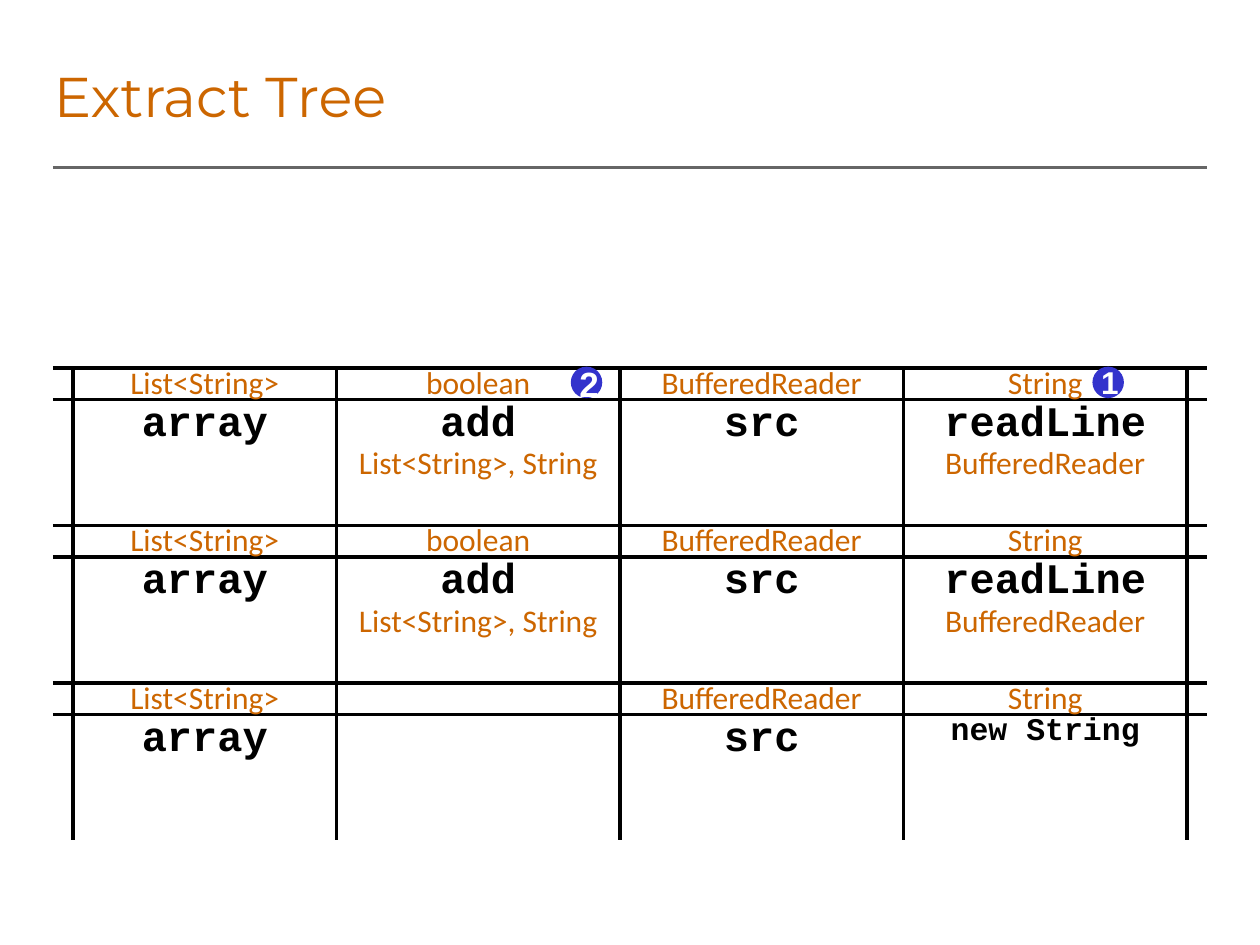
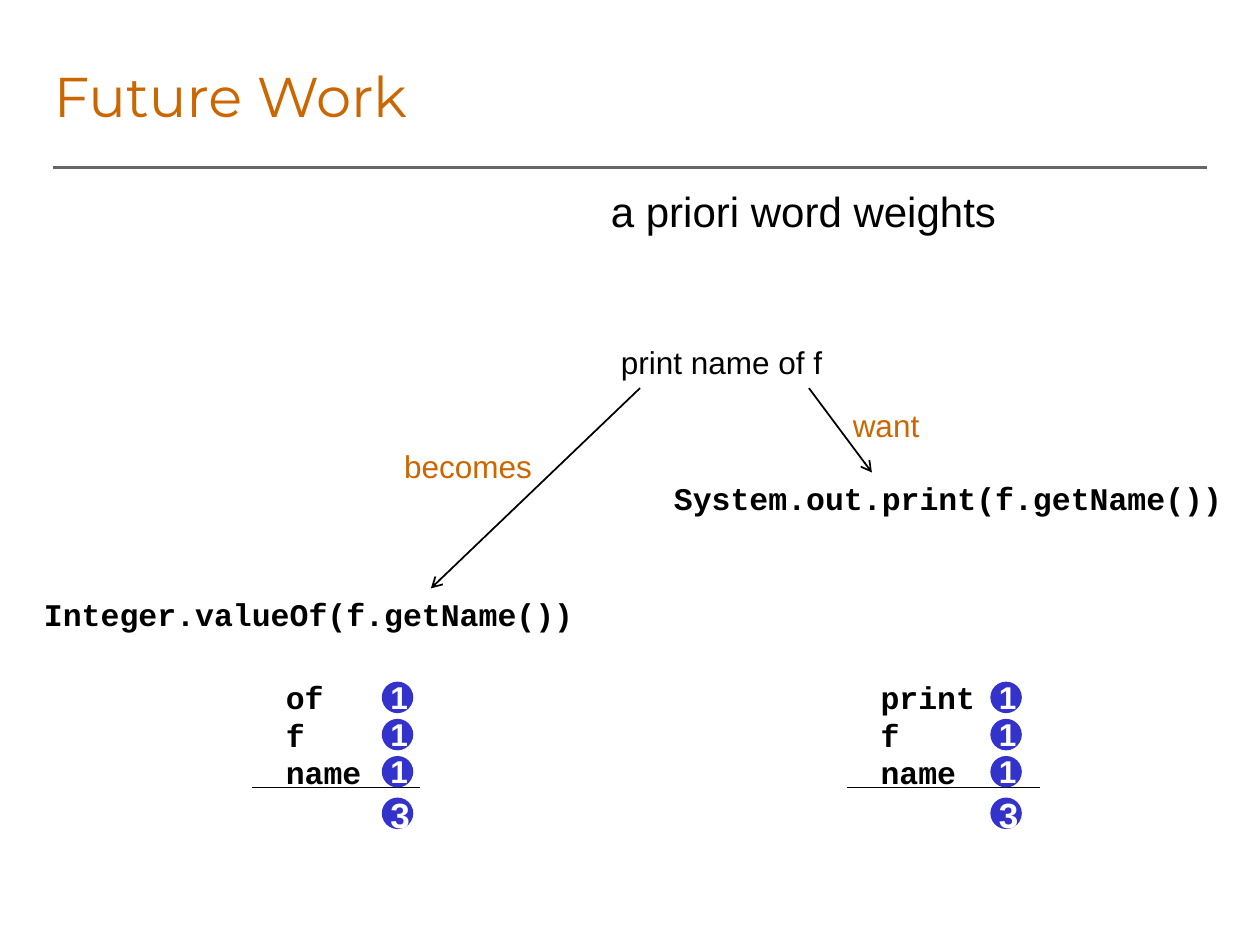
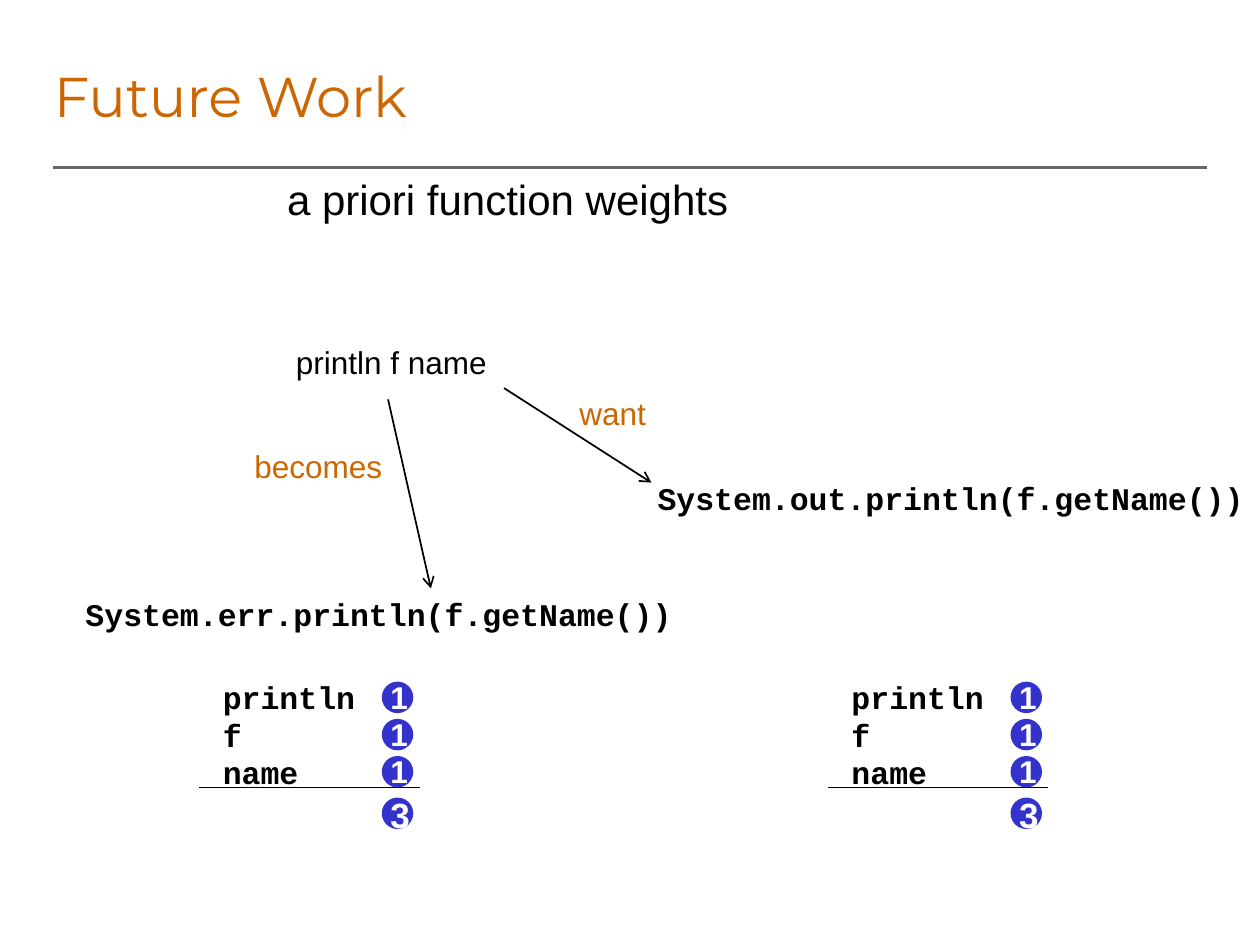
from lxml import etree
from pptx import Presentation
from pptx.dml.color import RGBColor
from pptx.enum import shapes, text
from pptx.oxml.ns import qn
from pptx.util import Inches, Pt

# Shared style
ORANGE, BLACK, WHITE = "CC6600", "000000", "FFFFFF"
GRAY, BLUE = "666666", "3333CC"
CODE = dict(font="Courier New", bold=True)
TYPE = dict(font="Calibri", color=ORANGE, align=text.PP_ALIGN.CENTER)
NAME = dict(CODE, align=text.PP_ALIGN.CENTER)

# Extract Tree: each cell is (return type, name, argument types, name size)
ARRAY = ("List<String>", "array", "", 24)
ADD = ("boolean", "add", "List<String>, String", 24)
SOURCE = ("BufferedReader", "src", "", 24)
READ_LINE = ("String", "readLine", "BufferedReader", 24)
NEW_STRING = ("String", "new String", "", 18)
EMPTY = ("", "", "", 24)
TREE_ROWS = [
    [ARRAY, ADD, SOURCE, READ_LINE],
    [ARRAY, ADD, SOURCE, READ_LINE],
    [ARRAY, EMPTY, SOURCE, NEW_STRING],
]
TREE_BADGES = [(8.64, 2.83, 1), (4.5, 2.83, 2)]
CELL_LEFTS = [0.5, 2.67, 4.92, 7.17]
RULE_XS = [0.58, 2.67, 4.92, 7.17, 9.42]
TREE_TOP, ROW_HEIGHT, HEADER_HEIGHT = 2.92, 1.25, 0.25

# Future Work: labels are (text, left, top, width, height, format),
# tallies are (words, words left, width, badge left, rule start, rule end)
FUTURE_PAGES = [
    dict(
        labels=[
            ("print name of f", 4.83, 2.67, 1.81, 0.4, {}),
            ("Integer.valueOf(f.getName())", 0.25, 4.67, 4.42, 0.4, CODE),
            ("System.out.print(f.getName())", 5.25, 3.75, 4.57, 0.4, CODE),
            ("a priori word weights", 4.75, 1.42, 3.29, 0.5, dict(size=24)),
            ("becomes", 3.11, 3.5, 1.23, 0.4, dict(color=ORANGE)),
            ("want", 6.67, 3.17, 0.73, 0.4, dict(color=ORANGE)),
        ],
        arrows=[(5.08, 3.08, 3.42, 4.67), (6.42, 3.08, 6.92, 3.75)],
        tallies=[
            (["of", "f", "name"], 2.17, 0.87, 3, 3.33, 2),
            (["print", "f", "name"], 6.89, 0.96, 7.83, 8.25, 6.72),
        ],
    ),
    dict(
        labels=[
            ("println f name", 2.25, 2.67, 1.73, 0.4, {}),
            ("System.err.println(f.getName())", 0.58, 4.67, 4.88, 0.4, CODE),
            ("System.out.println(f.getName())", 5.12, 3.75, 4.88, 0.4, CODE),
            ("a priori function weights", 2.18, 1.33, 3.74, 0.5, dict(size=24)),
            ("becomes", 1.92, 3.5, 1.23, 0.4, dict(color=ORANGE)),
            ("want", 4.5, 3.08, 0.73, 0.4, dict(color=ORANGE)),
        ],
        arrows=[(3.08, 3.17, 3.42, 4.67), (4, 3.08, 5.17, 3.83)],
        tallies=[
            (["println", "f", "name"], 1.67, 1.37, 3, 3.33, 1.58),
            (["println", "f", "name"], 6.66, 1.37, 7.99, 8.32, 6.57),
        ],
    ),
]
TALLY_TOP, WEIGHT_STEP, TALLY_RULE = 5.33, 0.295, 6.25


def rgb(color):
    return RGBColor.from_string(color)


def add_text(page, content, left, top, width, height, *, size=18, font="Arial",
             color=BLACK, bold=False, align=text.PP_ALIGN.LEFT, wrap=True,
             anchor=text.MSO_ANCHOR.TOP, fit=text.MSO_AUTO_SIZE.SHAPE_TO_FIT_TEXT):
    box = page.shapes.add_textbox(*map(Inches, (left, top, width, height)))
    frame = box.text_frame
    frame.word_wrap, frame.auto_size, frame.vertical_anchor = wrap, fit, anchor
    frame.text = content
    for para in frame.paragraphs:
        para.alignment = align
        for span in para.runs:
            span.font.name, span.font.size, span.font.bold = font, Pt(size), bold
            span.font.color.rgb = rgb(color)


def add_line(page, x1, y1, x2, y2, *, color=BLACK, width=2, arrow=False):
    line = page.shapes.add_connector(
        shapes.MSO_CONNECTOR.STRAIGHT, *map(Inches, (x1, y1, x2, y2)))
    line.line.color.rgb = rgb(color)
    line.line.width = Pt(width)
    if arrow:
        outline = line.line._get_or_add_ln()
        etree.SubElement(outline, qn("a:tailEnd"), type="arrow")
    etree.SubElement(line._element.spPr, qn("a:effectLst"))


def add_badge(page, left, top, number):
    circle = page.shapes.add_shape(
        shapes.MSO_SHAPE.OVAL, Inches(left + 0.03), Inches(top + 0.08),
        Inches(0.25), Inches(0.25))
    circle.shadow.inherit = False
    circle.fill.solid()
    circle.fill.fore_color.rgb = rgb(BLUE)
    circle.line.fill.background()
    width, height, size = (0.27, 0.4, 18) if number == 1 else (0.34, 0.44, 20)
    add_text(page, str(number), left, top, width, height,
             size=size, color=WHITE, bold=True, wrap=False)


def add_page(deck, title):
    page = deck.slides.add_slide(deck.slide_layouts[6])
    add_line(page, 0.42, 1.33, 9.58, 1.33, color=GRAY)
    add_text(page, title, 0.33, 0.42, 8.08, 0.67, size=32, font="Montserrat",
             color=ORANGE, anchor=text.MSO_ANCHOR.MIDDLE,
             fit=text.MSO_AUTO_SIZE.NONE)
    return page


def add_tree_page(deck):
    page = add_page(deck, "Extract Tree")
    for row, cells in enumerate(TREE_ROWS):
        top = TREE_TOP + row * ROW_HEIGHT
        # Row grid
        for x in RULE_XS:
            add_line(page, x, top, x, top + ROW_HEIGHT)
        for y in (top, top + HEADER_HEIGHT):
            add_line(page, 0.42, y, 9.58, y)
        # Cell texts
        for left, (result, name, arguments, size) in zip(CELL_LEFTS, cells):
            parts = [
                (result, -0.09, 0.4, TYPE),
                (name, 0.16, 0.5 if size == 24 else 0.4, dict(NAME, size=size)),
                (arguments, 0.55, 0.4, TYPE),
            ]
            for content, offset, height, style in parts:
                if content:
                    add_text(page, content, left, top + offset, 2.25, height, **style)
    for badge in TREE_BADGES:
        add_badge(page, *badge)


def add_future_page(deck, labels, arrows, tallies):
    page = add_page(deck, "Future Work")
    for *label, style in labels:
        add_text(page, *label, wrap=False, **style)
    for arrow in arrows:
        add_line(page, *arrow, width=1, arrow=True)
    # Word weights and their sum
    for words, left, width, badge_left, start, end in tallies:
        add_text(page, "\n".join(words), left, TALLY_TOP, width, 1.01, **CODE)
        add_line(page, start, TALLY_RULE, end, TALLY_RULE, width=1)
        for index in range(len(words)):
            add_badge(page, badge_left, TALLY_TOP + index * WEIGHT_STEP, 1)
        add_badge(page, badge_left, TALLY_RULE, len(words))


def main():
    deck = Presentation()
    deck.slide_width, deck.slide_height = Inches(10), Inches(7.5)
    add_tree_page(deck)
    for content in FUTURE_PAGES:
        add_future_page(deck, **content)
    deck.save("out.pptx")


if __name__ == "__main__":
    main()
